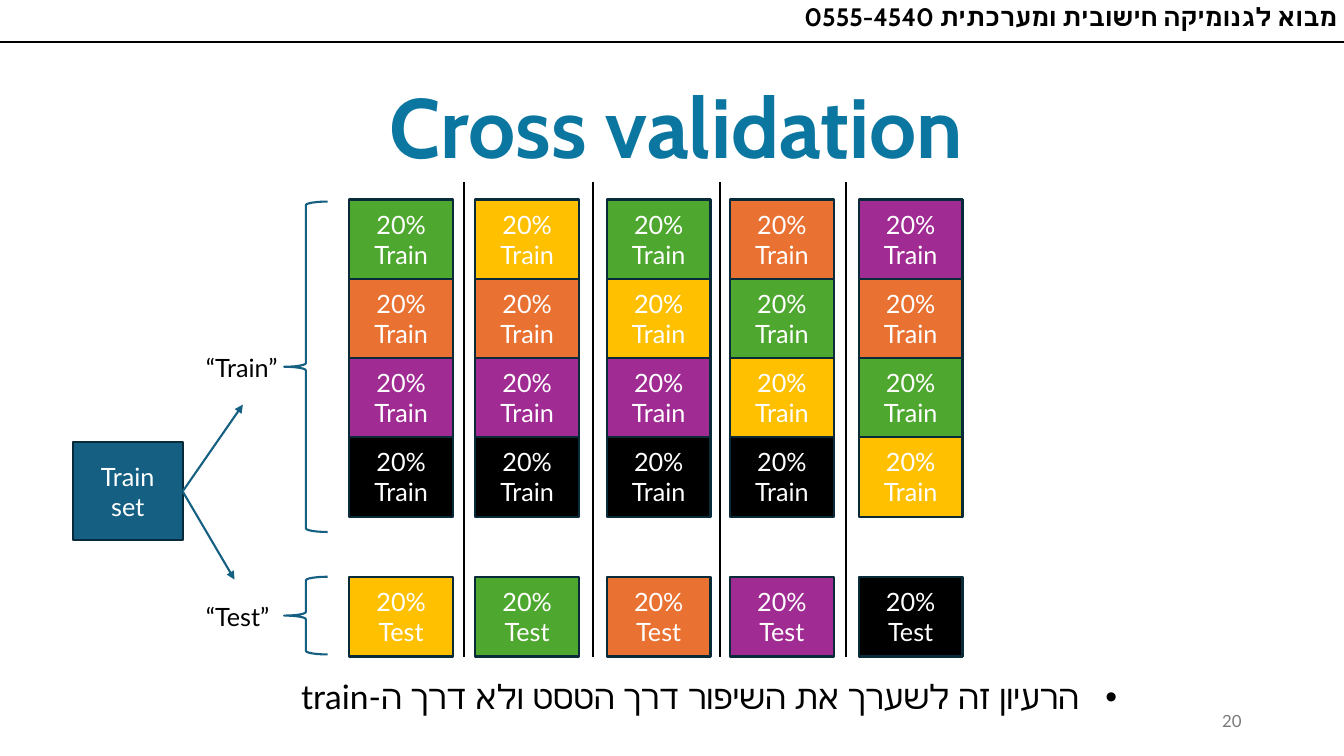
from collections import namedtuple
from dataclasses import dataclass

from lxml import etree
from pptx import Presentation
from pptx.dml.color import RGBColor
from pptx.enum import shapes, text
from pptx.oxml import ns
from pptx.util import Pt

Box = namedtuple("Box", "left top width height")


@dataclass(frozen=True)
class Theme:
    heading: str = "Cabin"
    body: str = "Lato"
    title_size: int = 60
    list_size: int = 24
    text_size: int = 18
    number_size: int = 12
    ink: str = "000000"
    light: str = "FFFFFF"
    title: str = "0B76A0"
    accent: str = "156082"
    outline: str = "092A39"
    muted: str = "797979"
    green: str = "4EA72E"
    orange: str = "E97132"
    purple: str = "A02B93"
    yellow: str = "FFC000"


THEME = Theme()
G, O, P, Y, K = THEME.green, THEME.orange, THEME.purple, THEME.yellow, THEME.ink
# Each fold: its left edge, the four training colours from the top, the test colour
FOLDS = [
    (249.5, (G, O, P, K), Y),
    (339.5, (Y, O, P, K), G),
    (433.5, (G, Y, P, K), O),
    (521.5, (O, G, Y, K), P),
    (613.5, (P, O, G, Y), K),
]
PART_WIDTH, PART_HEIGHT, ROW_PITCH = 74, 57, 56.5
GRID_TOP, TEST_TOP = 142.5, 412


def points(box):
    return [Pt(value) for value in box]


def write(frame, words, size, color, align, font=THEME.body, bold=False, rtl=False, bullet=None):
    """Fill a text frame with one formatted paragraph."""
    frame.word_wrap = True
    frame.auto_size = text.MSO_AUTO_SIZE.NONE
    para = frame.paragraphs[0]
    para.text = words
    para.alignment = align
    para.space_before = Pt(0)
    props = para._p.get_or_add_pPr()
    if rtl:
        props.set("rtl", "1")
    if bullet:
        indent = Pt(27)
        props.set("marL", str(indent))
        props.set("indent", str(-indent))
        etree.SubElement(props, ns.qn("a:buChar"), char=bullet)
    para.font.size = Pt(size)
    para.font.bold = bold
    para.font.color.rgb = RGBColor.from_string(color)
    para.font.name = font
    if rtl:
        etree.SubElement(props.find(ns.qn("a:defRPr")), ns.qn("a:cs"), typeface=font)
    return para


def add_text(page, box, words, size, color, align, **style):
    frame = page.shapes.add_textbox(*points(box)).text_frame
    write(frame, words, size, color, align, **style)
    return frame


def add_line(page, start, end, color, width=1.5, arrow=False):
    line = page.shapes.add_connector(shapes.MSO_CONNECTOR.STRAIGHT, *points(start + end))
    line.line.color.rgb = RGBColor.from_string(color)
    line.line.width = Pt(width)
    if arrow:
        outline = line._element.spPr.find(ns.qn("a:ln"))
        etree.SubElement(outline, ns.qn("a:tailEnd"), type="triangle")
    etree.SubElement(line._element.spPr, ns.qn("a:effectLst"))
    return line


def add_outlined(page, kind, box, line_color):
    shape = page.shapes.add_shape(kind, *points(box))
    shape.shadow.inherit = False
    shape.line.color.rgb = RGBColor.from_string(line_color)
    shape.line.width = Pt(1.5)
    return shape


def add_block(page, box, words, fill):
    block = add_outlined(page, shapes.MSO_SHAPE.RECTANGLE, box, THEME.outline)
    block.fill.solid()
    block.fill.fore_color.rgb = RGBColor.from_string(fill)
    block.text_frame.vertical_anchor = text.MSO_ANCHOR.MIDDLE
    write(block.text_frame, words, THEME.text_size, THEME.light, text.PP_ALIGN.CENTER)
    return block


def add_header(page, box):
    frame = add_text(page, box, "מבוא לגנומיקה חישובית ומערכתית 0555-4540", THEME.text_size,
                     THEME.ink, text.PP_ALIGN.RIGHT, font=THEME.heading, bold=True, rtl=True)
    frame.margin_right = Pt(4.5)
    frame.paragraphs[0].line_spacing = 0.9
    bottom = box.top + box.height
    add_line(page, (0, bottom), (box.left + box.width, bottom), THEME.ink, width=1)


def place(shape, box):
    shape.left, shape.top, shape.width, shape.height = points(box)


def fill_title(page, box):
    title = page.shapes.title
    place(title, box)
    title.text_frame.vertical_anchor = text.MSO_ANCHOR.BOTTOM
    para = write(title.text_frame, "Cross validation", THEME.title_size, THEME.title,
                 text.PP_ALIGN.CENTER, font=THEME.heading, bold=True, rtl=True)
    para.line_spacing = 0.9


def fill_conclusion(page, box):
    body = page.placeholders[1]
    place(body, box)
    write(body.text_frame, "הרעיון זה לשערך את השיפור דרך הטסט ולא דרך ה-train",
          THEME.list_size, THEME.ink, text.PP_ALIGN.RIGHT, rtl=True, bullet="•")


def add_split(page, box):
    """Train set block with an arrow to each of its two uses."""
    block = add_block(page, box, "Train set", THEME.accent)
    right, middle = box.left + box.width, box.top + box.height / 2
    for across, down in ((43, -62), (37, 63)):
        arrow = add_line(page, (right, middle), (right + across, middle + down),
                         THEME.accent, arrow=True)
        arrow.begin_connect(block, 3)


def add_braced_label(page, box, words):
    """Brace filling the box, with its label centred on the point."""
    add_outlined(page, shapes.MSO_SHAPE.LEFT_BRACE, box, THEME.accent).fill.background()
    label = Box(box.left - 63, box.top + box.height / 2 - 14, 77, 29)
    add_text(page, label, words, THEME.text_size, THEME.ink, text.PP_ALIGN.LEFT)


def add_fold(page, box, train_colors, test_color):
    """Column of training parts from the top of the box, test part at its bottom."""
    for row, color in enumerate(train_colors):
        part = Box(box.left, box.top + row * ROW_PITCH, box.width, PART_HEIGHT)
        add_block(page, part, "20% Train", color)
    test = Box(box.left, box.top + box.height - PART_HEIGHT, box.width, PART_HEIGHT)
    add_block(page, test, "20% Test", test_color)


def add_folds(page, top, bottom):
    for left, train_colors, test_color in FOLDS:
        add_fold(page, Box(left, top, PART_WIDTH, bottom - top), train_colors, test_color)
    for (left, *_), (following, *_) in zip(FOLDS, FOLDS[1:]):
        middle = (left + PART_WIDTH + following) / 2
        add_line(page, (middle, top - 12.5), (middle, bottom), THEME.ink)


def add_page_number(page, box):
    frame = add_text(page, box, "20", THEME.number_size, THEME.muted, text.PP_ALIGN.RIGHT)
    frame.vertical_anchor = text.MSO_ANCHOR.MIDDLE


def main():
    deck = Presentation()
    deck.slide_width, deck.slide_height = Pt(960), Pt(540)
    page = deck.slides.add_slide(deck.slide_layouts[1])
    add_header(page, Box(3, 0, 957, 30))
    fill_title(page, Box(19, 44, 928, 86))
    add_split(page, Box(52, 316, 78.5, 70))
    add_braced_label(page, Box(203, 144, 31, 236), "“Train”")
    add_braced_label(page, Box(203, TEST_TOP, 31, 55.5), "“Test”")
    add_folds(page, GRID_TOP, TEST_TOP + PART_HEIGHT)
    fill_conclusion(page, Box(165, 479.5, 640, 36))
    add_page_number(page, Box(678, 500.5, 216, 29))
    deck.save("out.pptx")


if __name__ == "__main__":
    main()
